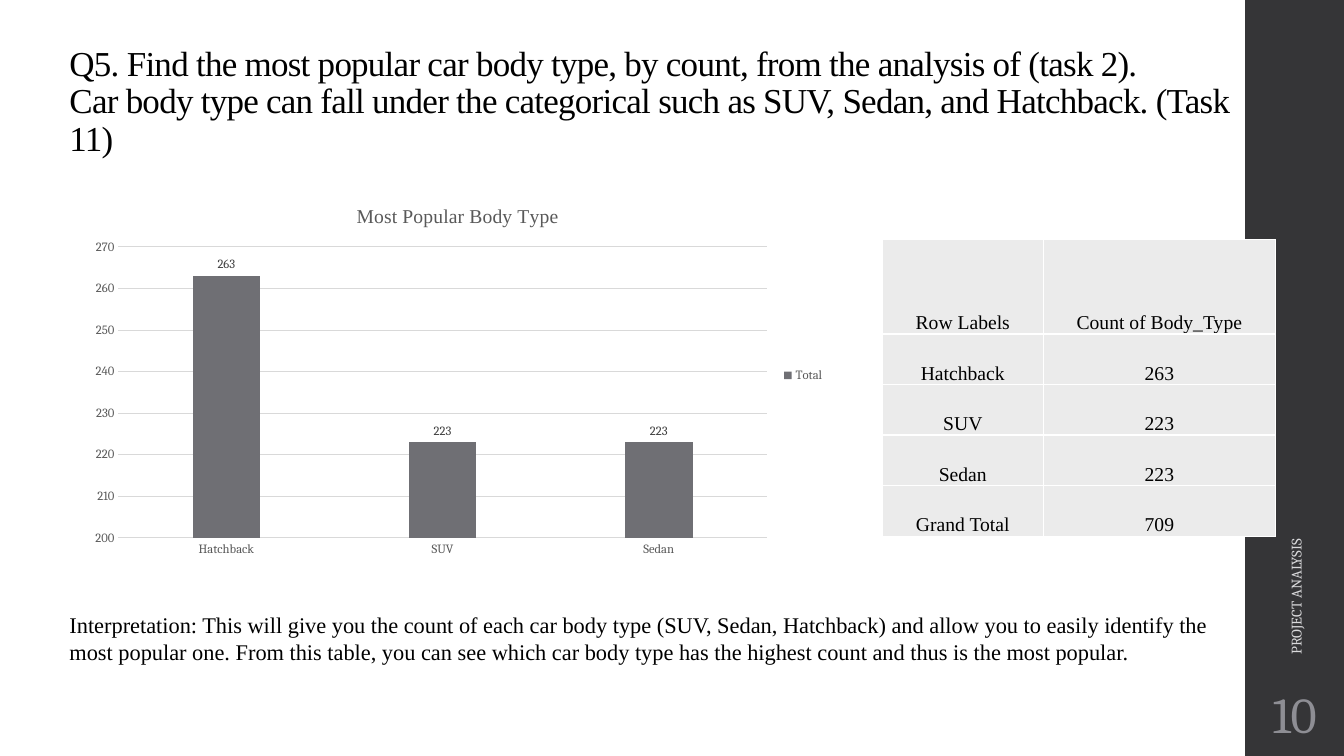
from lxml.etree import SubElement
from pptx import Presentation
from pptx.chart.data import CategoryChartData
from pptx.dml.color import RGBColor
from pptx.enum.chart import XL_CHART_TYPE, XL_LABEL_POSITION, XL_LEGEND_POSITION, XL_TICK_MARK
from pptx.enum.shapes import MSO_SHAPE
from pptx.enum.text import MSO_ANCHOR, PP_ALIGN
from pptx.oxml.ns import qn
from pptx.util import Inches, Pt

SERIF, BODY = "Times New Roman", "Cambria"
BLACK, WHITE, GREY, RULE = "000000", "FFFFFF", "595959", "D9D9D9"


def tint(code):
    return RGBColor.from_string(code)


def put(item, **form):
    for key, val in form.items():
        setattr(item, key, val)


def style(font, name, size, code):
    put(font, name=name, size=Pt(size))
    font.color.rgb = tint(code)


def stroke(line, code, size):
    line.color.rgb = tint(code)
    line.width = Pt(size)


class Page:
    """Places elements by percent shares of the slide's size."""

    def __init__(self, deck):
        self.wide, self.high = deck.slide_width, deck.slide_height
        self.slide = deck.slides.add_slide(deck.slide_layouts[6])
        self.shapes = self.slide.shapes

    def area(self, left, top, wide, high):
        return [round(part * full / 100) for part, full in
                zip((left, top, wide, high), (self.wide, self.high) * 2)]

    def panel(self, box, code):
        shape = self.shapes.add_shape(MSO_SHAPE.RECTANGLE, *self.area(*box))
        shape.shadow.inherit = False
        shape.fill.solid()
        shape.fill.fore_color.rgb = tint(code)
        shape.line.fill.background()

    def text(self, box, words, font, form=None, para=None, turn=0, space=0):
        shape = self.shapes.add_textbox(*self.area(*box))
        shape.rotation = turn
        frame = shape.text_frame
        put(frame, word_wrap=True, **(form or {}))
        line = frame.paragraphs[0]
        line.text = words
        put(line, **(para or {}))
        for run in line.runs:
            style(run.font, *font)
            if space:
                run.font._element.set("spc", str(space))

    def table(self, box, rows, cols, highs):
        left, top, wide, high = self.area(*box)
        grid = self.shapes.add_table(len(rows), len(cols), left, top, wide, high).table
        for col, part in zip(grid.columns, cols):
            col.width = round(part * wide)
        for row, part, words in zip(grid.rows, highs, rows):
            row.height = round(part * high / sum(highs))
            for cell, word in zip(row.cells, words):
                self.cell(cell, word)

    def cell(self, cell, word):
        thin = Inches(0.01)
        put(cell, text=word, vertical_anchor=MSO_ANCHOR.BOTTOM, margin_left=thin,
            margin_right=thin, margin_top=thin, margin_bottom=0)
        line = cell.text_frame.paragraphs[0]
        line.alignment = PP_ALIGN.CENTER
        style(line.runs[0].font, SERIF, 14, BLACK)
        props = cell._tc.get_or_add_tcPr()
        for side in ("lnL", "lnR", "lnT", "lnB"):
            edge = SubElement(props, qn("a:" + side), w=str(Pt(1)))
            fill = SubElement(edge, qn("a:solidFill"))
            SubElement(fill, qn("a:srgbClr"), val=WHITE)
        cell.fill.solid()
        cell.fill.fore_color.rgb = tint("EBEBEB")

    def chart(self, box, title, name, data, plot_box):
        feed = CategoryChartData()
        feed.categories = list(data)
        feed.add_series(name, list(data.values()))
        chart = self.shapes.add_chart(
            XL_CHART_TYPE.COLUMN_CLUSTERED, *self.area(*box), feed).chart
        style(chart.font, BODY, 10, BLACK)
        frame = chart.chart_title.text_frame
        frame.text = title
        style(frame.paragraphs[0].runs[0].font, SERIF, 14, GREY)
        frame.paragraphs[0].runs[0].font.bold = False

        # Axes
        for axis in (chart.category_axis, chart.value_axis):
            put(axis, major_tick_mark=XL_TICK_MARK.NONE, minor_tick_mark=XL_TICK_MARK.NONE)
            style(axis.tick_labels.font, BODY, 9, GREY)
        stroke(chart.category_axis.format.line, RULE, 0.75)
        put(chart.value_axis, minimum_scale=200, maximum_scale=270, major_unit=10)
        chart.value_axis.format.line.fill.background()
        stroke(chart.value_axis.major_gridlines.format.line, RULE, 0.75)

        # Legend
        chart.has_legend = True
        put(chart.legend, position=XL_LEGEND_POSITION.RIGHT, include_in_layout=False)
        style(chart.legend.font, BODY, 9, GREY)

        # Columns and their labels
        plot = chart.plots[0]
        put(plot, gap_width=219, overlap=-27, vary_by_categories=False)
        bars = plot.series[0]
        bars.format.fill.solid()
        bars.format.fill.fore_color.rgb = tint("6F6F74")
        labels = bars.data_labels
        put(labels, show_value=True, position=XL_LABEL_POSITION.OUTSIDE_END)
        style(labels.font, BODY, 9, "404040")

        # Fixed plot area
        area = chart._chartSpace.chart.plotArea
        for old in area.findall(qn("c:layout")):
            area.remove(old)
        layout = SubElement(area, qn("c:layout"))
        area.insert(0, layout)
        manual = SubElement(layout, qn("c:manualLayout"))
        marks = {"layoutTarget": "inner", "xMode": "edge", "yMode": "edge",
                 **dict(zip("xywh", plot_box))}
        for key, val in marks.items():
            SubElement(manual, qn("c:" + key), val=str(val))


def main():
    deck = Presentation()
    put(deck, slide_width=Inches(13.33), slide_height=Inches(7.5))
    page = Page(deck)
    counts = {"Hatchback": 263, "SUV": 223, "Sedan": 223}

    # Side band
    page.panel((92.65, 0, 7.35, 100), "353537")

    # Question
    page.text((4.43, 4.4, 88.15, 17.33),
              "Q5. Find the most popular car body type, by count, from the analysis of (task 2).\n"
              "Car body type can fall under the categorical such as SUV, Sedan, and Hatchback. "
              "(Task 11)",
              (SERIF, 25, BLACK), {"vertical_anchor": MSO_ANCHOR.BOTTOM},
              {"line_spacing": 0.9}, space=-50)

    # Chart and table of counts
    page.chart((6, 24.67, 56.11, 50), "Most Popular Body Type", "Total", counts,
               (0.05, 0.16, 0.86, 0.77))
    rows = [("Row Labels", "Count of Body_Type"),
            *((kind, str(num)) for kind, num in counts.items()),
            ("Grand Total", str(sum(counts.values())))]
    page.table((65.64, 31.73, 29.26, 39.2), rows, (0.41, 0.59), (0.93, 0.5, 0.5, 0.5, 0.5))

    # Interpretation
    page.text((4.43, 80.13, 88.82, 8.53),
              "Interpretation: This will give you the count of each car body type (SUV, Sedan, "
              "Hatchback) and allow you to easily identify the most popular one. From this table, "
              "you can see which car body type has the highest count and thus is the most popular.",
              (SERIF, 16, BLACK))

    # Page number and footer
    middle = {"vertical_anchor": MSO_ANCHOR.MIDDLE}
    slim = dict.fromkeys(("margin_left", "margin_right", "margin_top", "margin_bottom"),
                         Inches(0.05))
    page.text((92.65, 90, 7.35, 8.67), "10", (BODY, 36, "8E8E94"), {**middle, **slim},
              {"alignment": PP_ALIGN.CENTER})
    page.text((81.7, 59.07, 29.41, 5.33), "PROJECT ANALYSIS", (BODY, 10.5, "D9D9DB"),
              middle, turn=270)

    deck.save("out.pptx")


if __name__ == "__main__":
    main()
